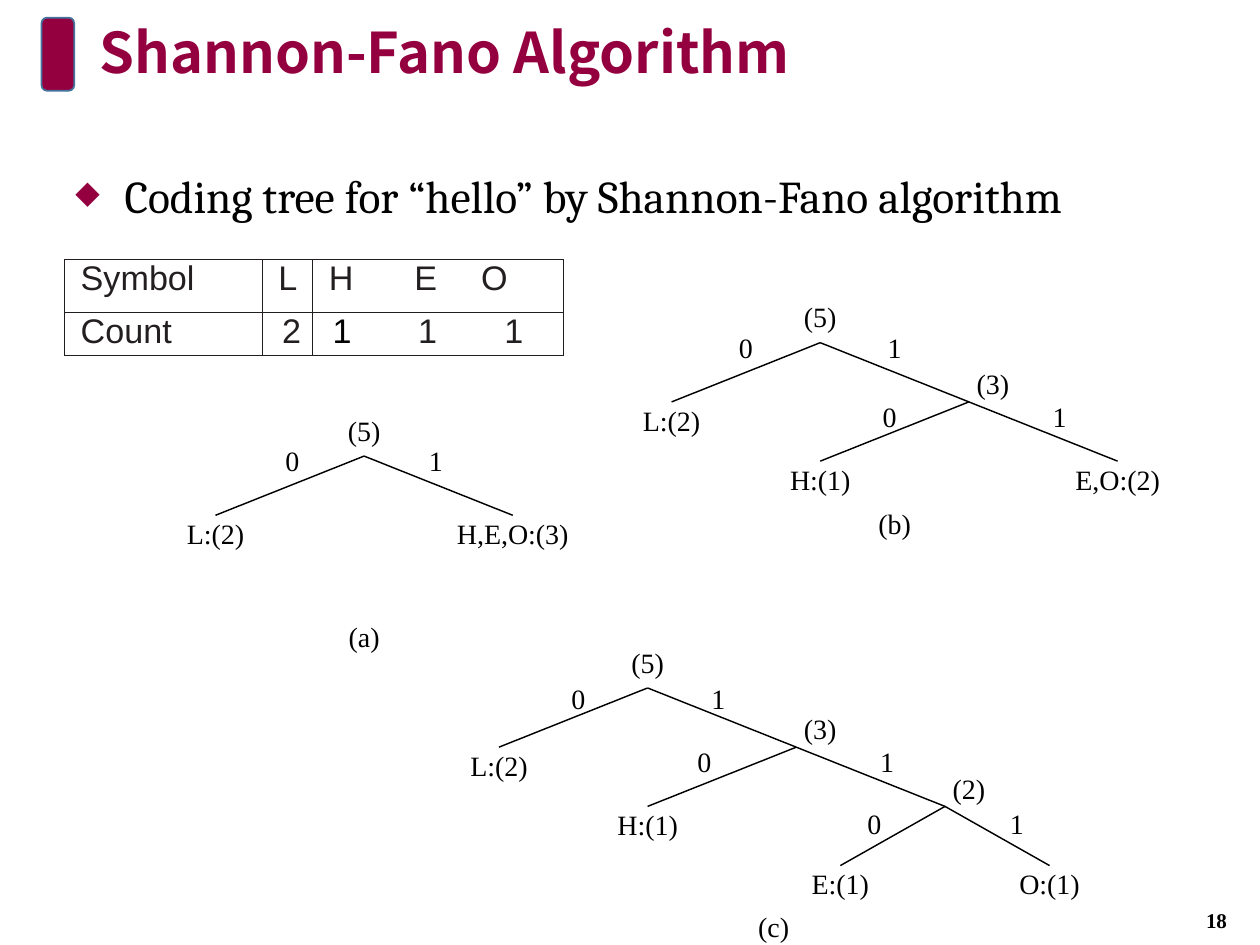
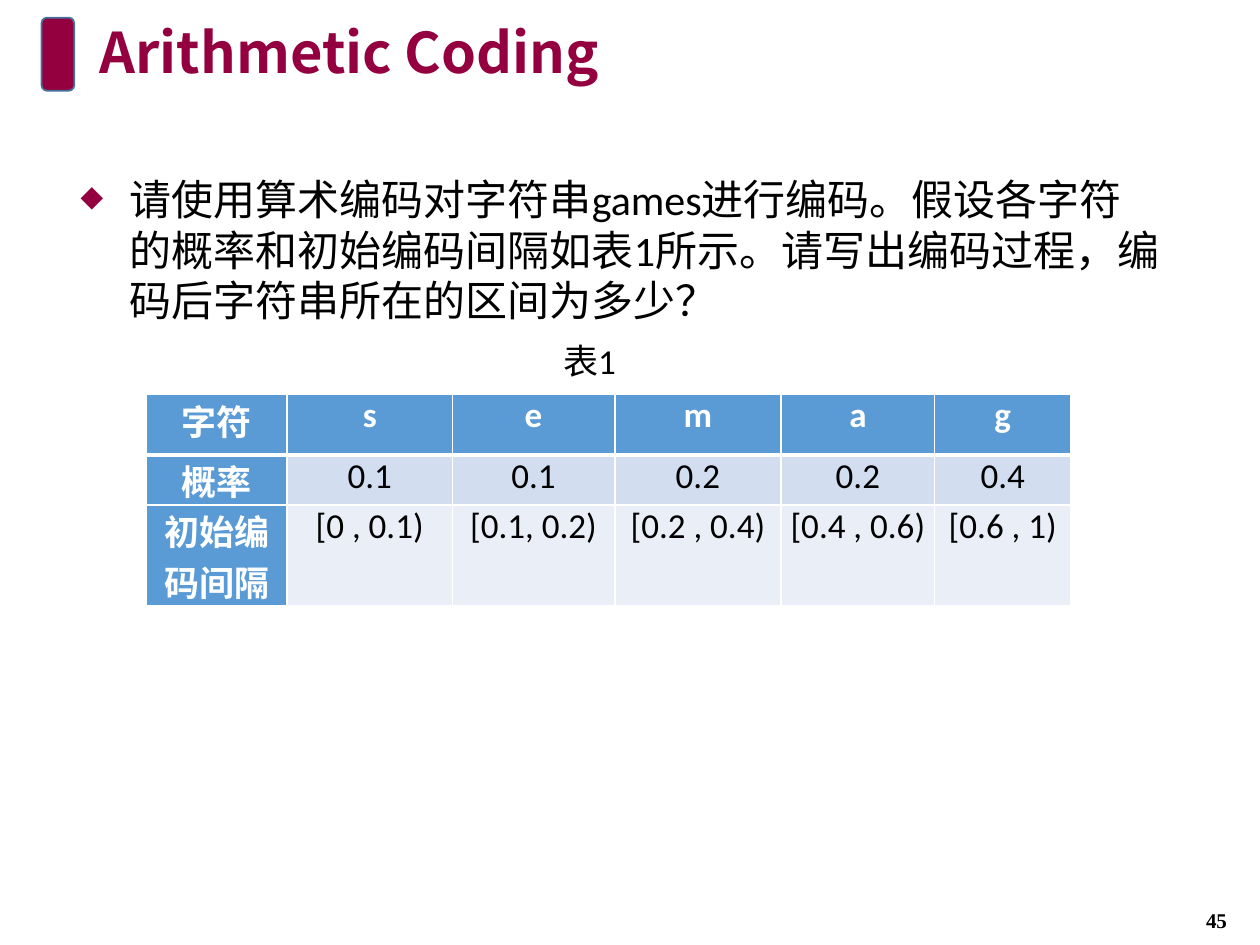
from lxml.etree import SubElement as Sub
from pptx import Presentation
from pptx.dml.color import RGBColor as RGB
from pptx.enum.shapes import MSO_CONNECTOR as Conn, MSO_SHAPE as Shape
from pptx.enum.text import MSO_ANCHOR as Anchor, PP_ALIGN as Align
from pptx.oxml import parse_xml
from pptx.oxml.ns import nsdecls, qn
from pptx.util import Pt

PX = 9144
WINE = RGB(0x94, 0x00, 0x3F)
NAVY = RGB(0x43, 0x73, 0x9E)
BLACK = RGB(0, 0, 0)
WHITE = RGB(255, 255, 255)
INK = RGB(0x23, 0x1F, 0x20)
RULE = RGB(0x22, 0x1E, 0x1F)
BLUE = RGB(0x5B, 0x9B, 0xD5)
BANDS = [RGB(0xD2, 0xDE, 0xEF), RGB(0xEA, 0xEF, 0xF7)]
NOTO, TIMES = "Noto Sans CJK SC", "Times New Roman"
SIDES = "LRTB"

# Branch: name, half span, offset of bit 0, offset of bit 1, bit top, left, right
TREES = [
    (289, 362, ("(5)", 118, -57, 57, -10, "L:(2)", "H,E,O:(3)"),
     "(a)", 289, 492),
    (651, 272, ("(5)", 118, -59, 59, -10, "L:(2)",
                ("(3)", 118, -63, 72, -2, "H:(1)", "E,O:(2)")),
     "(b)", 710, 402),
    (514, 546, ("(5)", 118, -55, 56, -5, "L:(2)",
                ("(3)", 118, -73, 72, -2, "H:(1)",
                 ("(2)", 83, -56, 57, 0, "E:(1)", "O:(1)"))),
     "(c)", 614, 722),
]
COUNTS = [["Symbol", "L", "H", "E", "O"], ["Count", "2", "1", "1", "1"]]
RANGES = [
    ["字符", "s", "e", "m", "a", "g"],
    ["概率", "0.1", "0.1", "0.2", "0.2", "0.4"],
    ["初始编码间隔", "[0 , 0.1)", "[0.1, 0.2)", "[0.2 , 0.4)",
     "[0.4 , 0.6)", "[0.6 , 1)"],
]
TASK = ("请使用算术编码对字符串games进行编码。假设各字符的概率和初始编码间隔"
        "如表1所示。请写出编码过程，编码后字符串所在的区间为多少？")


def emu(*vals):
    return [v * PX for v in vals]


def write(frame, text, size=16, font=TIMES, east=None, color=BLACK,
          bold=False, align=Align.LEFT, lead=None, bullet=False):
    para = frame.paragraphs[0]
    para.alignment = align
    if lead:
        para.line_spacing = lead
    run = para.add_run()
    run.text = text
    run.font.size = Pt(size)
    run.font.name = font
    run.font.bold = bold
    run.font.color.rgb = color
    Sub(run._r.get_or_add_rPr(), qn("a:ea")).set("typeface", east or font)
    if bullet:
        para.space_before = Pt(10)
        props = para._p.get_or_add_pPr()
        props.set("marL", str(39 * PX))
        props.set("indent", str(-39 * PX))
        tint = Sub(props, qn("a:buClr"))
        Sub(tint, qn("a:srgbClr")).set("val", str(WINE))
        Sub(props, qn("a:buSzPct")).set("val", "70000")
        Sub(props, qn("a:buChar")).set("char", "◆")


def label(slide, box, text, inset=None, anchor=Anchor.TOP, wrap=True, **form):
    frame = slide.shapes.add_textbox(*emu(*box)).text_frame
    frame.word_wrap = wrap
    frame.vertical_anchor = anchor
    if inset is not None:
        frame.margin_left = frame.margin_right = inset * PX
        frame.margin_top = frame.margin_bottom = inset * PX
    write(frame, text, **form)


def base(deck, title, page):
    slide = deck.slides.add_slide(deck.slide_layouts[6])
    mark = slide.shapes.add_shape(Shape.ROUNDED_RECTANGLE,
                                  *emu(33, 14, 26, 58))
    mark.shadow.inherit = False
    mark.fill.solid()
    mark.fill.fore_color.rgb = WINE
    mark.line.color.rgb = NAVY
    mark.line.width = Pt(1)
    label(slide, (69, 15, 862, 58), title, anchor=Anchor.MIDDLE, size=32,
          font=NOTO, color=WINE, bold=True, lead=0.9)
    label(slide, (923, 710, 85, 40), page, anchor=Anchor.MIDDLE, size=12,
          bold=True, align=Align.CENTER)
    return slide


def tag(slide, mid, top, text):
    wide = 10 * len(text) + 2
    label(slide, (mid - wide // 2, top, wide, 28), text, inset=0, wrap=False,
          align=Align.CENTER)


def edge(slide, *ends):
    line = slide.shapes.add_connector(Conn.STRAIGHT, *emu(*ends))
    line.line.color.rgb = BLACK
    line.line.width = Pt(0.82)
    Sub(line._element.spPr, qn("a:effectLst"))


def tree(slide, x, y, node, root=True):
    if isinstance(node, str):
        tag(slide, x, y + 1, node)
        return
    name, span, zero, one, drop, left, right = node
    tag(slide, x if root else x + 19, y - (34 if root else 28), name)
    parts = (("0", -span, zero, left), ("1", span, one, right))
    for bit, step, shift, child in parts:
        edge(slide, x, y, x + step, y + 47)
        tag(slide, x + shift, y + drop, bit)
        tree(slide, x + step, y + 47, child, False)


def border(cell, color, widths):
    props = cell._tc.get_or_add_tcPr()
    for spot, (side, width) in enumerate(zip(SIDES, widths)):
        paint = (f'<a:solidFill><a:srgbClr val="{color}"/></a:solidFill>'
                 if width else "<a:noFill/>")
        props.insert(spot, parse_xml(
            f'<a:ln{side} {nsdecls("a")} w="{Pt(width)}">{paint}</a:ln{side}>'))


def grid(slide, x, y, cols, rows, data, style):
    box = emu(x, y, sum(cols), sum(rows))
    table = slide.shapes.add_table(len(rows), len(cols), *box).table
    table.first_row = table.horz_banding = False
    for col, wide in zip(table.columns, cols):
        col.width = wide * PX
    for row, high in zip(table.rows, rows):
        row.height = high * PX
    for r, line in enumerate(data):
        for c, text in enumerate(line):
            cell = table.cell(r, c)
            cell.margin_top = cell.margin_bottom = 0
            style(cell, r, c, text)


def count(cell, r, c, text):
    last = c == 4
    mid = r == 1 and last
    cell.margin_right = 0
    cell.margin_left = 0 if mid else (16 if r and c else 13) * PX
    cell.fill.background()
    border(cell, RULE, (0.6 * (c < 3), 0.6 * (c < 2 or last), 0.6, 0.6))
    write(cell.text_frame, text, size=19.5, font="Arial",
          color=BLACK if (r, c) == (1, 2) else INK,
          align=Align.CENTER if mid else Align.LEFT)


def share(cell, r, c, text):
    head = r == 0 or c == 0
    cell.margin_left = cell.margin_right = 7 * PX
    cell.fill.solid()
    cell.fill.fore_color.rgb = BLUE if head else BANDS[r - 1]
    border(cell, WHITE, (1, 1, 3 if r == 1 else 1, 1 if r else 3))
    write(cell.text_frame, text, size=20, font="Calibri", east=NOTO,
          color=WHITE if head else BLACK, bold=head, align=Align.CENTER)


def shannon(deck):
    slide = base(deck, "Shannon-Fano Algorithm", "18")
    label(slide, (50, 133, 900, 592),
          "Coding tree for “hello” by Shannon-Fano algorithm",
          size=26, font="Cambria", lead=0.9, bullet=True)
    grid(slide, 51, 206, (157, 40, 68, 53, 78), (42, 34), COUNTS, count)
    for x, y, root, name, mid, top in TREES:
        tree(slide, x, y, root)
        tag(slide, mid, top, name)


def coding(deck):
    slide = base(deck, "Arithmetic Coding", "45")
    label(slide, (64, 138, 859, 612), TASK, inset=0, size=24,
          font="Calibri", bullet=True)
    grid(slide, 116, 313, (112, 131, 129, 132, 122, 108), (48, 40, 80),
         RANGES, share)
    label(slide, (437, 264, 125, 44), "表1", anchor=Anchor.MIDDLE, size=20,
          font="Calibri")


def main():
    deck = Presentation()
    deck.slide_width, deck.slide_height = emu(1000, 750)
    shannon(deck)
    coding(deck)
    deck.save("out.pptx")


if __name__ == "__main__":
    main()
